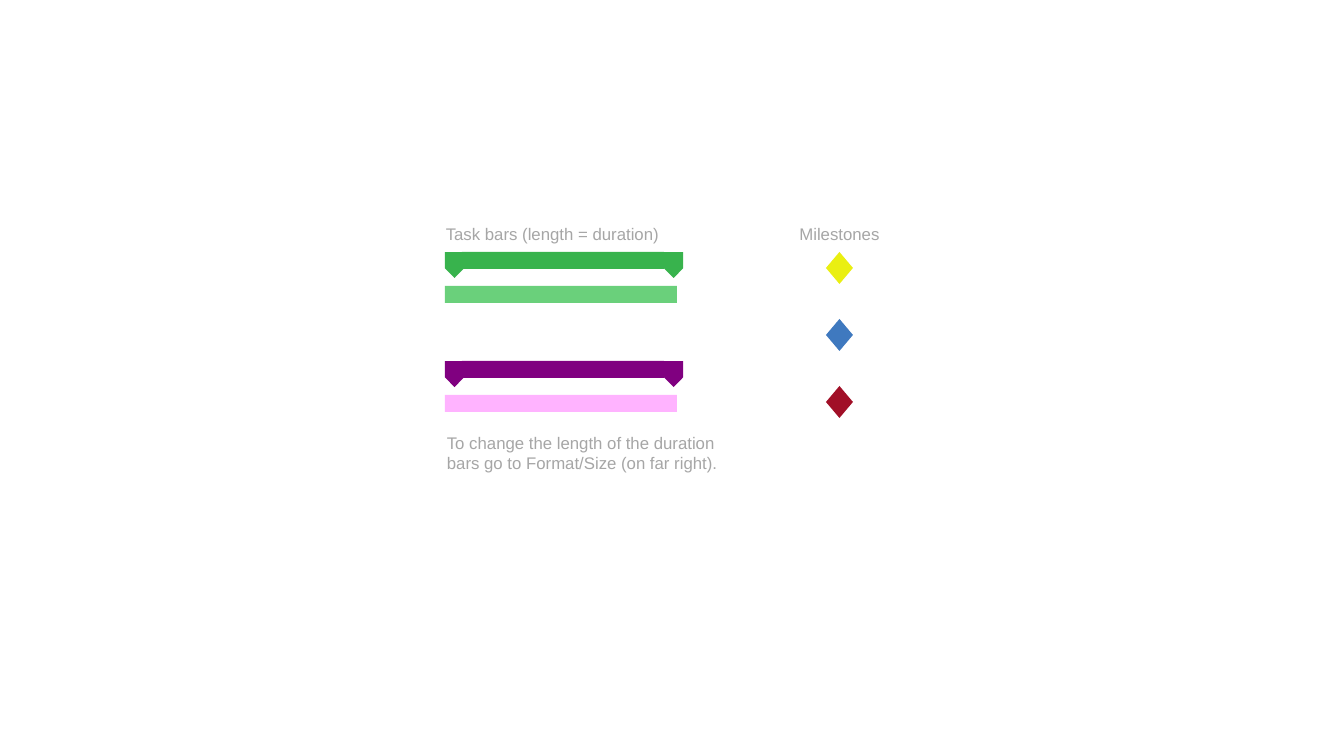
from dataclasses import dataclass

from pptx import Presentation
from pptx.dml.color import RGBColor
from pptx.enum.shapes import MSO_SHAPE as SHAPE
from pptx.enum.text import MSO_AUTO_SIZE as AUTO_SIZE, PP_ALIGN as ALIGN
from pptx.util import Emu, Pt

EMU_PER_PX = 914400 / 100.8


@dataclass(frozen=True)
class Theme:
    font: str = "Arial"
    size: int = 12
    text: str = "A6A6A6"
    tasks: tuple = (("38B34D", "6AD07B"), ("800080", "FFB3FF"))
    milestones: tuple = ("EAEF11", "3F79BF", "A10F27")


THEME = Theme()


def px(n):
    return Emu(round(n * EMU_PER_PX))


def add_text(s, text, x, y, w, h, align=ALIGN.CENTER):
    tf = s.shapes.add_textbox(px(x), px(y), px(w), px(h)).text_frame
    tf.word_wrap = True
    tf.auto_size = AUTO_SIZE.SHAPE_TO_FIT_TEXT
    tf.text = text
    p = tf.paragraphs[0]
    p.alignment = align
    font = p.runs[0].font
    font.name, font.size = THEME.font, Pt(THEME.size)
    font.color.rgb = RGBColor.from_string(THEME.text)


def add_filled(s, kind, color, x, y, w, h):
    sp = s.shapes.add_shape(kind, px(x), px(y), px(w), px(h))
    sp.shadow.inherit = False
    sp.fill.solid()
    sp.fill.fore_color.rgb = RGBColor.from_string(color)
    sp.line.fill.background()
    return sp


def add_flag(s, color, x, y, w, h):
    """Place a downward pentagon; its frame is turned a quarter about the box centre."""
    shift = (h - w) / 2
    sp = add_filled(s, SHAPE.PENTAGON, color, x - shift, y + shift, h, w)
    sp.rotation = 90


def add_task_pair(s, summary, duration, x, y, w):
    """Place a summary bar with a flag at each end, above its duration bar."""
    flag_w, flag_h, bar_h = 19, 26, 17
    add_filled(s, SHAPE.RECTANGLE, summary, x + 17, y, w - 17 - flag_w, bar_h)
    for flag_x in (x, x + w - flag_w):
        add_flag(s, summary, flag_x, y, flag_w, flag_h)
    add_filled(s, SHAPE.RECTANGLE, duration, x, y + 34, w - 6, bar_h)


def add_task_bars(s, x, y, w):
    add_text(s, "Task bars (length = duration)", x - 17, y, 249, 30)
    for i, (summary, duration) in enumerate(THEME.tasks):
        add_task_pair(s, summary, duration, x, y + 33 + i * 109, w)
    add_text(s, "To change the length of the duration bars go to Format/Size (on far right).",
             x - 8, y + 209, 294, 50, ALIGN.LEFT)


def add_milestones(s, x, y, w):
    diamond_w, diamond_h = 27, 32
    add_text(s, "Milestones", x, y, w, 30)
    for i, color in enumerate(THEME.milestones):
        add_filled(s, SHAPE.FLOWCHART_DECISION, color,
                   x + (w - diamond_w) / 2, y + 33 + i * 67, diamond_w, diamond_h)


def main():
    prs = Presentation()
    prs.slide_width, prs.slide_height = px(1344), px(756)
    s = prs.slides.add_slide(prs.slide_layouts.get_by_name("Blank"))
    add_task_bars(s, 445, 219, 238)
    add_milestones(s, 748, 219, 183)
    prs.save("out.pptx")


if __name__ == "__main__":
    main()
